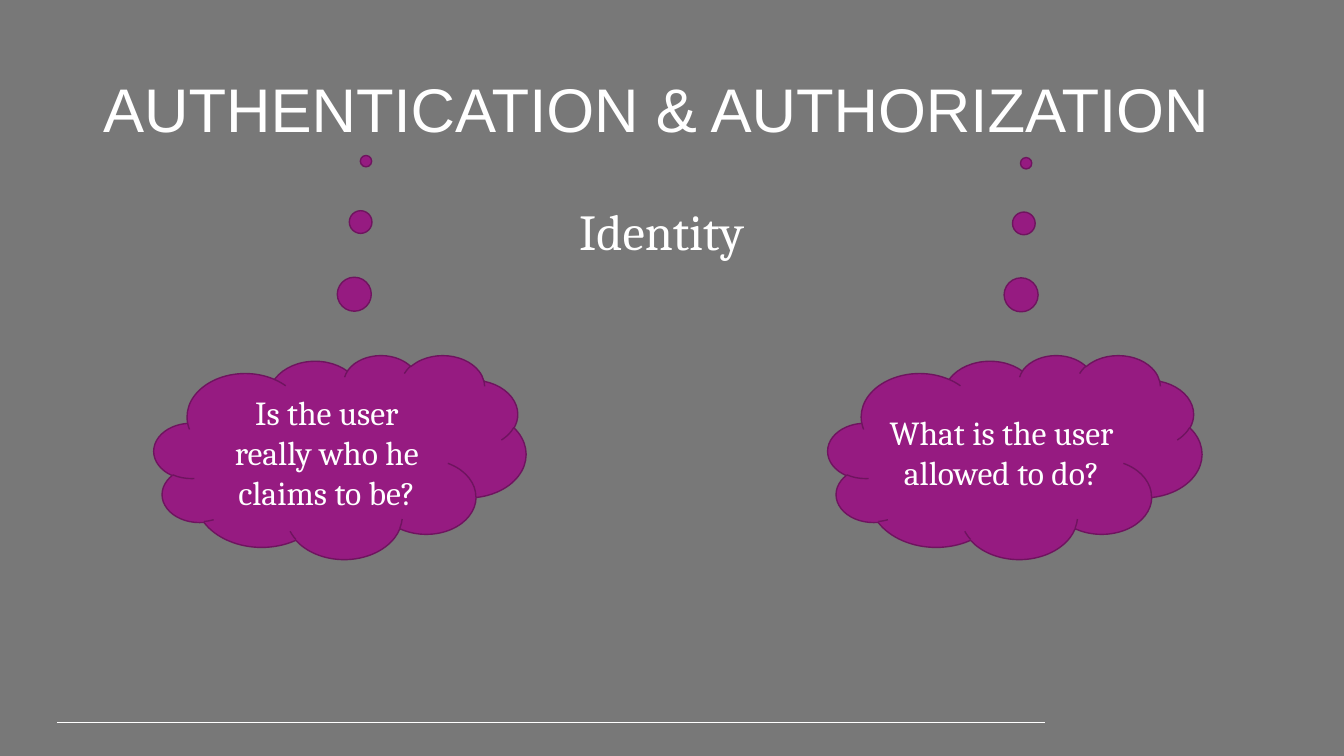
from dataclasses import dataclass

from lxml.etree import SubElement
from pptx import Presentation
from pptx.dml.color import RGBColor
from pptx.enum.shapes import MSO_CONNECTOR as Connector, MSO_SHAPE as Shape
from pptx.enum.text import MSO_ANCHOR as Anchor, MSO_AUTO_SIZE as AutoSize, PP_ALIGN as Align
from pptx.oxml.ns import qn
from pptx.util import Pt

TITLE = "AUTHENTICATION & AUTHORIZATION"
SUBJECT = "Identity"
# Each question: text, cloud left and width, thought-bubble tail offset
QUESTIONS = [
    ("Is the user really who he claims to be?", 154, 372, (0.07, -1.45)),
    ("What is the user allowed to do?", 828, 374, (0.03, -1.44)),
]

SLIDE_W, SLIDE_H = 1344, 756
EMU_PER_PX = 12192000 / SLIDE_W
TITLE_BOX = (93, 40, 1182, 146)
SUBJECT_BOX = (93, 202, 1137, 66)
CLOUD_TOP, CLOUD_H = 355, 204
RULE = (57, 723, 1045, 723)


@dataclass(frozen=True)
class Theme:
    """Colours, fonts and type sizes of the slide."""
    background: str = "787878"
    text: str = "FFFFFF"
    cloud: str = "961B81"
    outline: str = "6F145F"
    title_font: str = "Arial"
    body_font: str = "Cambria"
    title_size: int = 44
    subject_size: int = 36
    cloud_size: int = 24


THEME = Theme()


def px(*values):
    """Turn pixel lengths into a list of EMU."""
    return [round(v * EMU_PER_PX) for v in values]


def color(code):
    """Return the colour for an RRGGBB code."""
    return RGBColor.from_string(code)


def write(sp, text, size, font=THEME.body_font, align=Align.CENTER,
          anchor=Anchor.MIDDLE, spacing=1.0, before=0):
    """Fill a shape with one formatted paragraph."""
    tf = sp.text_frame
    tf.word_wrap = True
    tf.auto_size = AutoSize.NONE
    tf.vertical_anchor = anchor
    p = tf.paragraphs[0]
    p.alignment, p.line_spacing, p.space_before = align, spacing, Pt(before)
    r = p.add_run()
    r.text = text
    r.font.name, r.font.size = font, Pt(size)
    r.font.color.rgb = color(THEME.text)
    return p


def place(sp, box):
    """Move and size a placeholder to a pixel box."""
    sp.left, sp.top, sp.width, sp.height = px(*box)


def remove_bullet(p):
    """Clear the bullet and its indent from a paragraph."""
    pPr = p._p.get_or_add_pPr()
    pPr.set("marL", "0")
    pPr.set("indent", "0")
    SubElement(pPr, qn("a:buNone"))


def add_rule(s):
    """Draw the thin footer line."""
    rule = s.shapes.add_connector(Connector.STRAIGHT, *px(*RULE))
    rule.line.color.rgb = color(THEME.text)
    rule.line.width = Pt(0.75)
    SubElement(rule._element.spPr, qn("a:effectLst"))


def add_cloud(s, question, left, width, tail):
    """Draw a thought cloud holding one question."""
    sp = s.shapes.add_shape(Shape.CLOUD_CALLOUT, *px(left, CLOUD_TOP, width, CLOUD_H))
    sp.shadow.inherit = False
    sp.fill.solid()
    sp.fill.fore_color.rgb = color(THEME.cloud)
    sp.line.color.rgb = color(THEME.outline)
    sp.line.width = Pt(1)
    for i, offset in enumerate(tail):
        sp.adjustments[i] = offset
    write(sp, question, THEME.cloud_size)


def main():
    """Build and save the slide."""
    prs = Presentation()
    prs.slide_width, prs.slide_height = px(SLIDE_W, SLIDE_H)
    s = prs.slides.add_slide(prs.slide_layouts[1])
    s.background.fill.solid()
    s.background.fill.fore_color.rgb = color(THEME.background)

    title, subject = s.placeholders
    place(title, TITLE_BOX)
    write(title, TITLE, THEME.title_size, font=THEME.title_font,
          align=Align.LEFT, spacing=0.9)
    place(subject, SUBJECT_BOX)
    remove_bullet(write(subject, SUBJECT, THEME.subject_size,
                        anchor=Anchor.TOP, spacing=0.9, before=10))
    add_rule(s)
    for question in QUESTIONS:
        add_cloud(s, *question)
    prs.save("out.pptx")


main()
